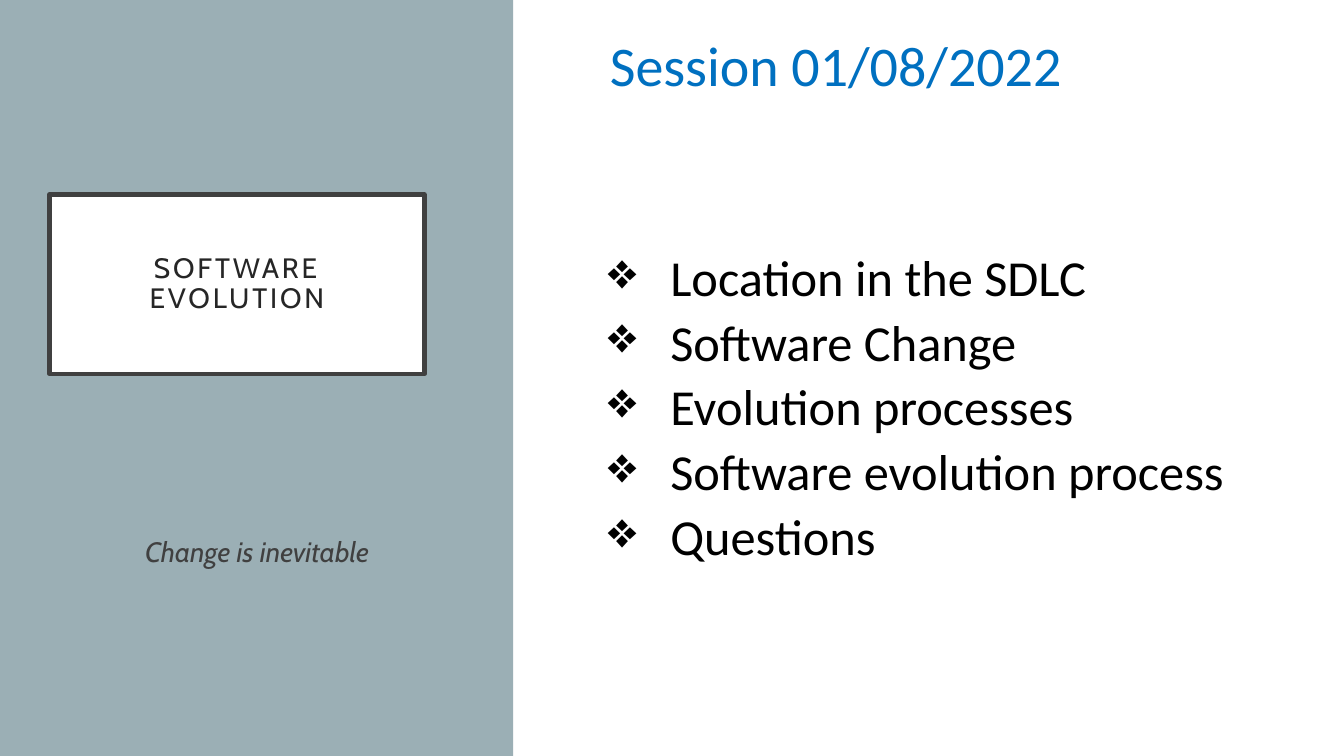
from pptx import Presentation
from pptx.dml.color import RGBColor
from pptx.enum import shapes, text
from pptx.oxml.ns import qn
from pptx.util import Inches, Pt
from lxml import etree

WHITE = RGBColor(0xFF, 0xFF, 0xFF)
BLACK = RGBColor(0x00, 0x00, 0x00)
PANEL = RGBColor(0x9B, 0xAF, 0xB5)
FRAME = RGBColor(0x40, 0x40, 0x40)
TITLE = RGBColor(0x26, 0x26, 0x26)
BLUE = RGBColor(0x00, 0x70, 0xC0)

TOPICS = ["Location in the SDLC", "Software Change", "Evolution processes",
          "Software evolution process", "Questions"]


def write(tf, lines, size, color, font="Calibri", align=text.PP_ALIGN.LEFT,
          italic=False, tracking=0, spacing=None, bullet=None, indent=0.62):
    """Fill a text frame with one paragraph per line; tracking is in points."""
    tf.word_wrap = True
    for i, line in enumerate(lines):
        p = tf.paragraphs[0] if i == 0 else tf.add_paragraph()
        p.alignment = align
        if spacing:
            p.line_spacing = spacing
        if bullet:
            pPr = p._p.get_or_add_pPr()
            pPr.set("marL", str(Inches(indent)))
            pPr.set("indent", str(-Inches(indent)))
            etree.SubElement(pPr, qn("a:buChar")).set("char", bullet)
        r = p.add_run()
        r.text = line
        r.font.name, r.font.size, r.font.italic = font, Pt(size), italic
        r.font.color.rgb = color
        if tracking:
            r._r.get_or_add_rPr().set("spc", str(int(tracking * 100)))


def add_text(s, x, y, w, h, lines, **fmt):
    sp = s.shapes.add_textbox(Inches(x), Inches(y), Inches(w), Inches(h))
    write(sp.text_frame, lines, **fmt)


def add_title(s, x, y, w, h, title):
    sp = s.shapes.title
    sp.left, sp.top, sp.width, sp.height = map(Inches, (x, y, w, h))
    sp.fill.solid()
    sp.fill.fore_color.rgb = WHITE
    sp.line.color.rgb = FRAME
    sp.line.width = Pt(3)
    tf = sp.text_frame
    tf.auto_size = text.MSO_AUTO_SIZE.NONE
    tf.vertical_anchor = text.MSO_ANCHOR.MIDDLE
    tf.margin_left = tf.margin_right = Inches(0.3)
    tf.margin_top = tf.margin_bottom = Inches(0.2)
    write(tf, [title], size=20, color=TITLE, font="Cabin",
          align=text.PP_ALIGN.CENTER, tracking=2, spacing=0.9)


def add_side_panel(s, x, y, w, h):
    """Coloured panel behind the framed title, with the motto below."""
    sp = s.shapes.add_shape(shapes.MSO_SHAPE.RECTANGLE,
                            Inches(x), Inches(y), Inches(w), Inches(h))
    sp.shadow.inherit = False
    sp.fill.solid()
    sp.fill.fore_color.rgb = PANEL
    sp.line.fill.background()
    s.shapes.title.element.addprevious(sp.element)
    add_title(s, x + 0.49, y + 1.93, 3.72, 1.78, "SOFTWARE EVOLUTION")
    add_text(s, x + 1.23, y + 5.25, 2.64, 0.5, ["Change is inevitable"],
             size=20, color=FRAME, font="Cabin", italic=True,
             align=text.PP_ALIGN.CENTER)


def add_agenda(s, x, y, w):
    add_text(s, x + 0.02, y, 6.1, 0.78, ["Session 01/08/2022"],
             size=40, color=BLUE)
    add_text(s, x, y + 2.1, w, 3.31, TOPICS, size=36, color=BLACK,
             spacing=1.07, bullet="❖")


def main():
    prs = Presentation()
    prs.slide_width, prs.slide_height = Inches(13.33), Inches(7.5)
    s = prs.slides.add_slide(prs.slide_layouts[5])
    add_side_panel(s, 0, 0, 5.09, 7.5)
    add_agenda(s, 5.93, 0.25, 6.67)
    prs.save("out.pptx")


if __name__ == "__main__":
    main()
